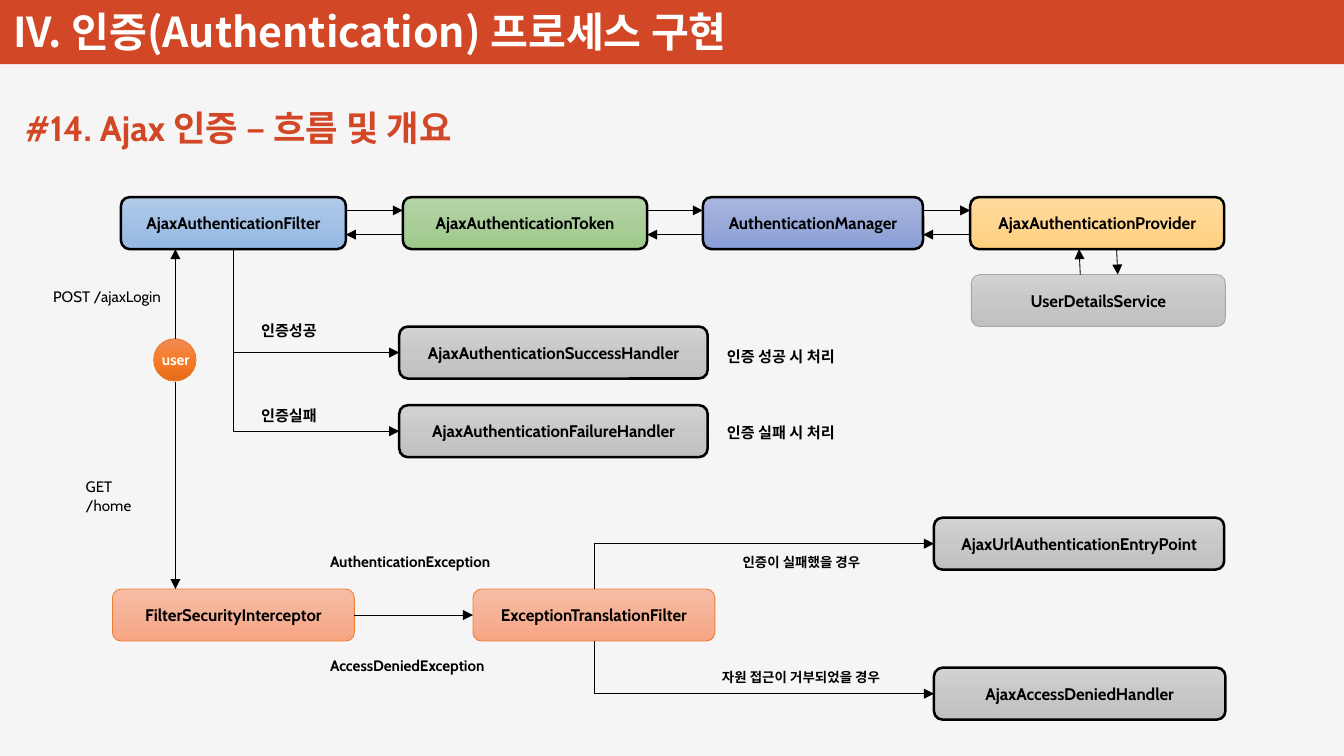
from copy import deepcopy

from lxml import etree
from pptx import Presentation
from pptx.dml.color import RGBColor
from pptx.enum.shapes import MSO_CONNECTOR, MSO_SHAPE
from pptx.enum.text import MSO_ANCHOR, MSO_AUTO_SIZE, PP_ALIGN
from pptx.oxml.ns import qn
from pptx.util import Inches, Pt

RECTANGLE, ROUNDED, OVAL = MSO_SHAPE.RECTANGLE, MSO_SHAPE.ROUNDED_RECTANGLE, MSO_SHAPE.OVAL
STRAIGHT, ELBOW = MSO_CONNECTOR.STRAIGHT, MSO_CONNECTOR.ELBOW
MIDDLE, BOTTOM_ANCHOR = MSO_ANCHOR.MIDDLE, MSO_ANCHOR.BOTTOM
CENTER = PP_ALIGN.CENTER
FIT = MSO_AUTO_SIZE.SHAPE_TO_FIT_TEXT
TOP, LEFT, BOTTOM, RIGHT = range(4)

CABIN, NOTO = "Cabin", "Noto Sans CJK KR"
WHITE = RGBColor(0xFF, 0xFF, 0xFF)
BLACK = RGBColor(0x00, 0x00, 0x00)
PAPER = RGBColor(0xF5, 0xF5, 0xF5)
RED = RGBColor(0xD2, 0x47, 0x26)
ORANGE_LINE = RGBColor(0xED, 0x7D, 0x31)
GRAY_LINE = RGBColor(0xA5, 0xA5, 0xA5)

# Gradients from top to bottom
BLUE = (RGBColor(0xB1, 0xCB, 0xE9), RGBColor(0xA3, 0xC1, 0xE5), RGBColor(0x93, 0xB9, 0xE4))
GREEN = (RGBColor(0xB5, 0xD5, 0xA7), RGBColor(0xAA, 0xCE, 0x9A), RGBColor(0x9C, 0xC9, 0x87))
INDIGO = (RGBColor(0xA8, 0xB7, 0xDF), RGBColor(0x9A, 0xAB, 0xD9), RGBColor(0x88, 0x9E, 0xD7))
YELLOW = (RGBColor(0xFF, 0xDB, 0x9E), RGBColor(0xFF, 0xD5, 0x90), RGBColor(0xFF, 0xD0, 0x7C))
GRAY = (RGBColor(0xD2, 0xD2, 0xD2), RGBColor(0xC8, 0xC8, 0xC8), RGBColor(0xC0, 0xC0, 0xC0))
SALMON = (RGBColor(0xF7, 0xBD, 0xA5), RGBColor(0xF5, 0xB1, 0x96), RGBColor(0xF8, 0xA5, 0x82))
ORANGE = (RGBColor(0xF1, 0x8C, 0x57), RGBColor(0xF6, 0x7B, 0x28), RGBColor(0xE5, 0x6C, 0x19))

BOX_HEIGHT = 0.43
CHAIN_TOP = 1.63
CHAIN_BOTTOM = CHAIN_TOP + BOX_HEIGHT
USER_X = 1.45

# Boxes: text, left, top, width, gradient, line colour, line width
BOXES = [
    ("AjaxAuthenticationFilter", 1, CHAIN_TOP, 1.86, BLUE, BLACK, 1.5),
    ("AjaxAuthenticationToken", 3.33, CHAIN_TOP, 2.02, GREEN, BLACK, 1.5),
    ("AuthenticationManager", 5.81, CHAIN_TOP, 1.82, INDIGO, BLACK, 1.5),
    ("AjaxAuthenticationProvider", 8.02, CHAIN_TOP, 2.1, YELLOW, BLACK, 1.5),
    ("UserDetailsService", 8.03, 2.27, 2.1, GRAY, GRAY_LINE, 0.5),
    ("AjaxAuthenticationSuccessHandler", 3.3, 2.7, 2.55, GRAY, BLACK, 1.5),
    ("AjaxAuthenticationFailureHandler", 3.3, 3.35, 2.55, GRAY, BLACK, 1.5),
    ("AjaxUrlAuthenticationEntryPoint", 7.72, 4.28, 2.4, GRAY, BLACK, 1.5),
    ("AjaxAccessDeniedHandler", 7.72, 5.52, 2.41, GRAY, BLACK, 1.5),
    ("FilterSecurityInterceptor", 0.93, 4.87, 2, SALMON, ORANGE_LINE, 0.5),
    ("ExceptionTranslationFilter", 3.91, 4.87, 2, SALMON, ORANGE_LINE, 0.5),
]

# Labels: text, left, top, width, height, size, font, bold
LABELS = [
    ("인증성공", 2.06, 2.61, 0.71, 0.25, 9, CABIN, True),
    ("인증실패", 2.06, 3.31, 0.71, 0.25, 9, CABIN, True),
    ("인증 실패 시 처리", 5.91, 3.45, 1.22, 0.25, 9, NOTO, True),
    ("AuthenticationException", 2.63, 4.52, 1.67, 0.25, 9, CABIN, True),
    ("AccessDeniedException", 2.63, 5.38, 1.6, 0.25, 9, CABIN, True),
    ("POST /ajaxLogin", 0.34, 2.33, 1.11, 0.25, 9, CABIN, False),
    ("GET /home", 0.61, 3.9, 0.82, 0.25, 9, CABIN, False),
    ("자원 접근이 거부되었을 경우", 5.87, 5.48, 1.67, 0.24, 8, NOTO, True),
    ("인증이 실패했을 경우", 6.04, 4.53, 1.33, 0.24, 8, NOTO, True),
]


def write(shape, text, size, font=CABIN, color=BLACK, bold=True):
    para = shape.text_frame.paragraphs[0]
    para.text = text
    span = para.runs[0]
    span.font.size = Pt(size)
    span.font.name = font
    span.font.bold = bold
    span.font.color.rgb = color
    east_asian = etree.SubElement(span.font._element, qn("a:ea"))
    east_asian.set("typeface", NOTO)
    return para


def add_label(page, text, left, top, width, height, size, font=CABIN, bold=True, color=BLACK):
    label = page.shapes.add_textbox(Inches(left), Inches(top), Inches(width), Inches(height))
    label.text_frame.word_wrap = False
    label.text_frame.auto_size = FIT
    write(label, text, size, font, color, bold)
    return label


def add_plain(page, kind, left, top, width, height):
    shape = page.shapes.add_shape(kind, Inches(left), Inches(top), Inches(width), Inches(height))
    shape.shadow.inherit = False
    return shape


def add_panel(page, width, height, color):
    panel = add_plain(page, RECTANGLE, 0, 0, width, height)
    panel.fill.solid()
    panel.fill.fore_color.rgb = color
    panel.line.fill.background()


def add_shaded(page, kind, left, top, width, height, gradient, line_color, line_width):
    shape = add_plain(page, kind, left, top, width, height)
    shape.fill.gradient()
    shape.fill.gradient_angle = 270
    stops = shape._element.spPr.find(".//" + qn("a:gsLst"))
    stops.insert(1, deepcopy(stops[0]))
    for index, (stop, color) in enumerate(zip(shape.fill.gradient_stops, gradient)):
        stop.position = index / 2
        stop.color.rgb = color
    shape.line.color.rgb = line_color
    shape.line.width = Pt(line_width)
    return shape


def add_box(page, text, left, top, width, gradient, line_color, line_width):
    box = add_shaded(page, ROUNDED, left, top, width, BOX_HEIGHT, gradient, line_color, line_width)
    box.text_frame.word_wrap = True
    box.text_frame.vertical_anchor = MIDDLE
    write(box, text, 10).alignment = CENTER
    return box


def add_arrow(page, x1, y1, x2, y2, kind=STRAIGHT):
    arrow = page.shapes.add_connector(kind, Inches(x1), Inches(y1), Inches(x2), Inches(y2))
    arrow.line.color.rgb = BLACK
    arrow.line.width = Pt(0.5)
    etree.SubElement(arrow.line._get_or_add_ln(), qn("a:tailEnd")).set("type", "triangle")
    etree.SubElement(arrow._element.spPr, qn("a:effectLst"))
    return arrow


def join(page, start, start_side, end, end_side, kind=STRAIGHT):
    arrow = add_arrow(page, 0, 0, 1, 1, kind)
    arrow.begin_connect(start, start_side)
    arrow.end_connect(end, end_side)
    return arrow


def add_corner_arrow(page, start, start_side, end):
    """Leave start vertically, turn once and enter the left side of end."""
    arrow = join(page, start, start_side, end, LEFT, ELBOW)
    across, rise = arrow.width, arrow.height
    center_x, center_y = arrow.left + across // 2, arrow.top + rise // 2
    # The one-corner preset runs across first, so it is turned on its side
    arrow.left, arrow.top = center_x - rise // 2, center_y - across // 2
    arrow.width, arrow.height = rise, across
    frame = arrow._element.spPr.find(qn("a:xfrm"))
    frame.set("rot", str((90 if start_side == TOP else 270) * 60000))
    frame.set("flipH", "1")
    arrow._element.spPr.find(qn("a:prstGeom")).set("prst", "bentConnector2")


def main():
    deck = Presentation()
    deck.slide_width, deck.slide_height = Inches(11.11), Inches(6.25)
    page = deck.slides.add_slide(deck.slide_layouts[6])

    # Background, title band and headings
    add_panel(page, 11.11, 6.25, PAPER)
    add_panel(page, 11.11, 0.53, RED)
    title = page.shapes.add_textbox(Inches(0.01), Inches(-0.1), Inches(6.72), Inches(0.61))
    title.text_frame.word_wrap = True
    title.text_frame.vertical_anchor = BOTTOM_ANCHOR
    write(title, "IV. 인증(Authentication) 프로세스 구현", 24.5, NOTO, WHITE)
    add_label(page, "#14. Ajax 인증 – 흐름 및 개요", 0.11, 0.83, 4.1, 0.45, 21, color=RED)

    # Boxes
    boxes = {row[0]: add_box(page, *row) for row in BOXES}

    # Request and response arrows along the chain
    chain = BOXES[:4]
    for before, after in zip(chain, chain[1:]):
        start, end = before[1] + before[3], after[1]
        add_arrow(page, start, 1.74, end, 1.74)
        add_arrow(page, end, 1.94, start, 1.94)
    add_arrow(page, 9.23, CHAIN_BOTTOM, 9.24, 2.27)
    add_arrow(page, 8.93, 2.27, 8.92, CHAIN_BOTTOM)

    # Arrows to handlers
    entry_filter = boxes["AjaxAuthenticationFilter"]
    translator = boxes["ExceptionTranslationFilter"]
    add_corner_arrow(page, entry_filter, BOTTOM, boxes["AjaxAuthenticationSuccessHandler"])
    add_corner_arrow(page, entry_filter, BOTTOM, boxes["AjaxAuthenticationFailureHandler"])
    add_corner_arrow(page, translator, TOP, boxes["AjaxUrlAuthenticationEntryPoint"])
    add_corner_arrow(page, translator, BOTTOM, boxes["AjaxAccessDeniedHandler"])
    join(page, boxes["FilterSecurityInterceptor"], RIGHT, translator, LEFT)

    # User and its two requests
    add_shaded(page, OVAL, 1.27, 2.8, 0.35, 0.35, ORANGE, ORANGE_LINE, 0.5)
    add_label(page, "user", 1.24, 2.85, 0.45, 0.25, 9, color=WHITE)
    add_arrow(page, USER_X, 2.8, USER_X, CHAIN_BOTTOM)
    add_arrow(page, USER_X, 3.16, USER_X, 4.87)

    # Labels
    for row in LABELS:
        add_label(page, *row)
    success_note = add_label(page, "인증 성공 시 처리", 5.91, 2.75, 1.62, 0.33, 9, NOTO)
    success_note.text_frame.word_wrap = True
    success_note.text_frame.paragraphs[0].line_spacing = 1.5

    deck.save("out.pptx")


if __name__ == "__main__":
    main()
